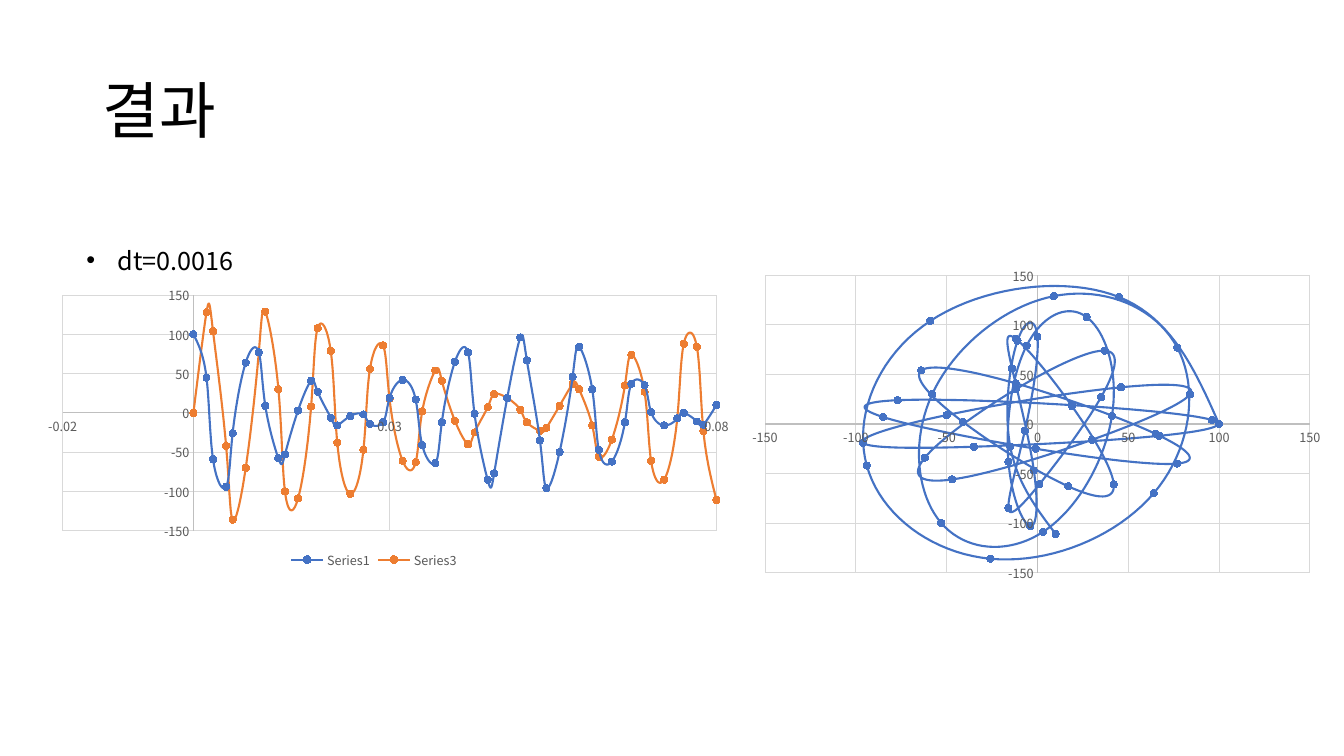
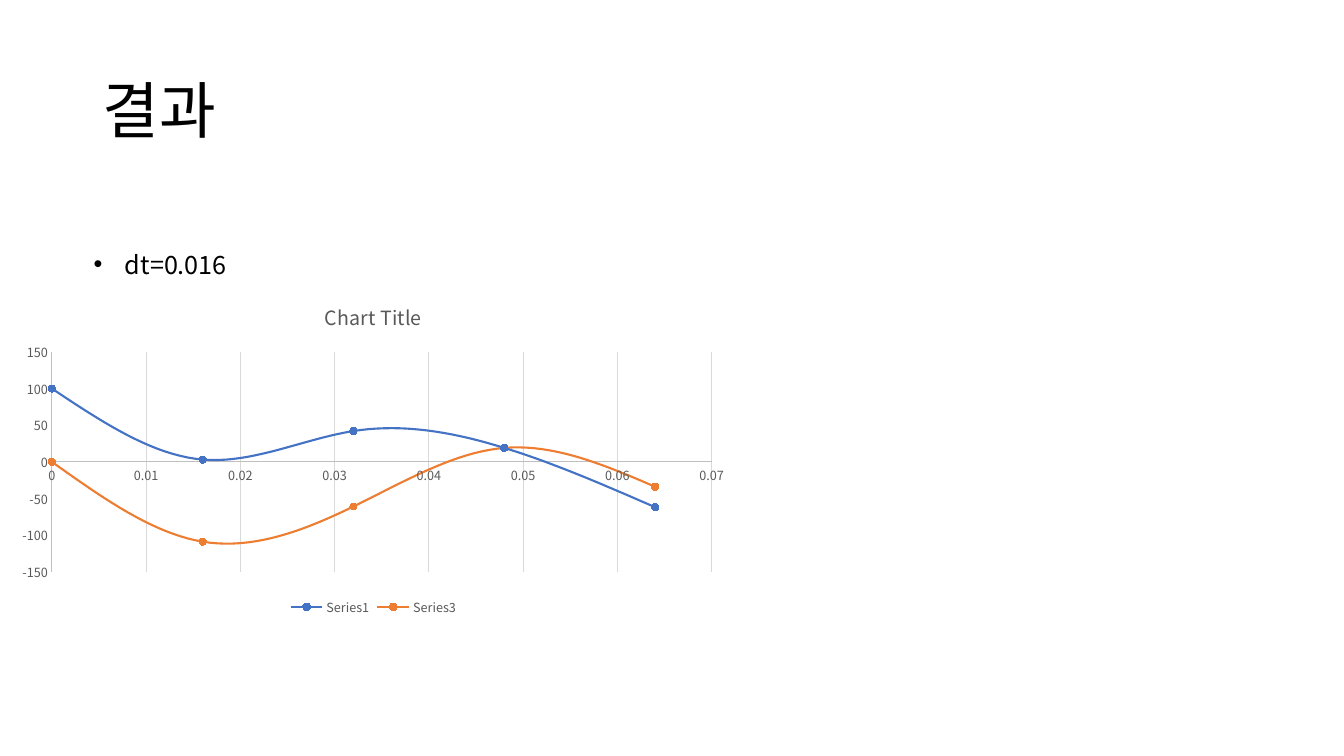
from lxml import etree
from pptx import Presentation
from pptx.chart.data import XyChartData
from pptx.dml.color import RGBColor
from pptx.enum.chart import XL_CHART_TYPE, XL_LEGEND_POSITION, XL_MARKER_STYLE, XL_TICK_MARK
from pptx.enum.text import MSO_ANCHOR, PP_ALIGN
from pptx.oxml.ns import qn
from pptx.util import Cm, Pt

SMOOTH_SCATTER = XL_CHART_TYPE.XY_SCATTER_SMOOTH
LEGEND_BOTTOM = XL_LEGEND_POSITION.BOTTOM
CIRCLE = XL_MARKER_STYLE.CIRCLE
NO_TICK = XL_TICK_MARK.NONE
MIDDLE = MSO_ANCHOR.MIDDLE
LEFT = PP_ALIGN.LEFT

BLACK = RGBColor(0x00, 0x00, 0x00)
GRAY = RGBColor(0x59, 0x59, 0x59)
AXIS_GRAY = RGBColor(0xBF, 0xBF, 0xBF)
GRID_GRAY = RGBColor(0xD9, 0xD9, 0xD9)
BLUE = RGBColor(0x44, 0x72, 0xC4)
ORANGE = RGBColor(0xED, 0x7D, 0x31)
SERIES_COLORS = (BLUE, ORANGE)

FONT = "Noto Sans CJK KR"
TITLE_FORMAT = {"name": FONT, "size": Pt(44), "bold": False}
BODY_FORMAT = {"name": FONT, "size": Pt(18)}
LABEL_FORMAT = {"name": FONT, "size": Pt(9), "bold": False}
CHART_TITLE_FORMAT = {"name": FONT, "size": Pt(14), "bold": False}

X_VALUES = [
    100, 45, -59, -94, -26, 64, 77, 9, -58, -53, 3, 41, 27, -6, -16, -4, -2,
    -14, -12, 19, 42, 17, -41, -64, -12, 65, 77, -1, -85, -77, 19, 96, 67,
    -35, -96, -50, 46, 84, 30, -47, -62, -12, 37, 35, 1, -16, -7, 0, -11,
    -15, 10,
]
Y_VALUES = [
    0, 128, 104, -42, -136, -70, 77, 129, 30, -100, -109, 8, 108, 79, -38,
    -103, -47, 56, 86, 18, -61, -63, 2, 54, 41, -10, -40, -25, 7, 24, 19, 4,
    -12, -23, -19, 9, 37, 30, -16, -56, -34, 35, 74, 27, -61, -85, -7, 88,
    84, -23, -111,
]
TIMES = [round(step * 0.0016, 3) for step in range(len(X_VALUES))]
COARSE = slice(0, 50, 10)


def format_font(font, values, color):
    for name, value in values.items():
        setattr(font, name, value)
    font.color.rgb = color


def add_title(slide, text):
    title = slide.shapes.title
    title.left, title.top, title.width, title.height = Cm(2.33), Cm(1.02), Cm(29.21), Cm(3.68)
    title.text_frame.text = text
    title.text_frame.vertical_anchor = MIDDLE
    paragraph = title.text_frame.paragraphs[0]
    paragraph.alignment = LEFT
    paragraph.line_spacing = 0.9
    run = paragraph.runs[0]
    format_font(run.font, TITLE_FORMAT, BLACK)
    etree.SubElement(run._r.get_or_add_rPr(), qn("a:ea"), typeface=FONT)


def add_bullet(slide, text, left, top, width):
    box = slide.shapes.add_textbox(Cm(left), Cm(top), Cm(width), Cm(1.02))
    box.text_frame.word_wrap = True
    paragraph = box.text_frame.paragraphs[0]
    run = paragraph.add_run()
    run.text = text
    format_font(run.font, BODY_FORMAT, BLACK)
    properties = paragraph._p.get_or_add_pPr()
    properties.set("marL", str(Cm(0.79)))
    properties.set("indent", str(-Cm(0.79)))
    etree.SubElement(properties, qn("a:buFont"), typeface="Arial")
    etree.SubElement(properties, qn("a:buChar"), char="•")


def style_line(line, color, width):
    line.color.rgb = color
    line.width = Pt(width)


def style_axis(axis, minimum, maximum, step, grid=True):
    scale = {"minimum_scale": minimum, "maximum_scale": maximum, "major_unit": step,
             "major_tick_mark": NO_TICK, "minor_tick_mark": NO_TICK,
             "has_major_gridlines": grid}
    for name, value in scale.items():
        setattr(axis, name, value)
    style_line(axis.format.line, AXIS_GRAY, 0.75)
    if grid:
        style_line(axis.major_gridlines.format.line, GRID_GRAY, 0.75)
    axis.tick_labels.number_format = "General"
    axis.tick_labels.number_format_is_linked = False
    format_font(axis.tick_labels.font, LABEL_FORMAT, GRAY)


def style_series(series, color):
    style_line(series.format.line, color, 1.5)
    series.marker.style = CIRCLE
    series.marker.size = 5
    series.marker.format.fill.solid()
    series.marker.format.fill.fore_color.rgb = color
    style_line(series.marker.format.line, color, 0.75)
    series._element.get_or_add_smooth().val = True


def place_plot(chart, position):
    area = chart._chartSpace.find(".//" + qn("c:plotArea"))
    for layout in area.findall(qn("c:layout")):
        area.remove(layout)
    layout = etree.Element(qn("c:layout"))
    area.insert(0, layout)
    manual = etree.SubElement(layout, qn("c:manualLayout"))
    settings = {"layoutTarget": "inner", "xMode": "edge", "yMode": "edge"}
    settings.update(zip("xywh", position))
    for name, value in settings.items():
        etree.SubElement(manual, qn("c:" + name), val=str(value))


def add_scatter(slide, frame, plot_position, curves, x_scale, value_grid=True,
                legend=True, title=None):
    data = XyChartData()
    for name, x_values, y_values in curves:
        series = data.add_series(name)
        for x, y in zip(x_values, y_values):
            series.add_data_point(x, y)
    lengths = [Cm(length) for length in frame]
    chart = slide.shapes.add_chart(SMOOTH_SCATTER, *lengths, data).chart
    format_font(chart.font, {"name": FONT, "size": Pt(10)}, BLACK)
    chart.has_title = title is not None
    if title:
        chart.chart_title.text_frame.text = title
        run = chart.chart_title.text_frame.paragraphs[0].runs[0]
        format_font(run.font, CHART_TITLE_FORMAT, GRAY)
    chart.has_legend = legend
    if legend:
        chart.legend.position = LEGEND_BOTTOM
        chart.legend.include_in_layout = False
        format_font(chart.legend.font, LABEL_FORMAT, GRAY)
    chart.plots[0].vary_by_categories = False
    for series, color in zip(chart.plots[0].series, SERIES_COLORS):
        style_series(series, color)
    style_axis(chart.category_axis, *x_scale)
    style_axis(chart.value_axis, -150, 150, 50, value_grid)
    place_plot(chart, plot_position)


def add_result_slide(presentation):
    slide = presentation.slides.add_slide(presentation.slide_layouts[5])
    add_title(slide, "결과")
    return slide


def main():
    presentation = Presentation()
    presentation.slide_width = Cm(33.87)
    presentation.slide_height = Cm(19.05)

    fine = add_result_slide(presentation)
    add_scatter(fine, (0.28, 6.96, 18.29, 7.47), (0.071, 0.064, 0.901, 0.795),
                [("Series1", TIMES, X_VALUES), ("Series3", TIMES, Y_VALUES)],
                (-0.02, 0.08, 0.05))
    add_scatter(fine, (18.67, 6.55, 14.91, 8.28), (0.041, 0.047, 0.921, 0.905),
                [("Series 1", X_VALUES, Y_VALUES)], (-150, 150, 50), legend=False)
    add_bullet(fine, "dt=0.0016", 1.93, 6.05, 12.52)

    coarse = add_result_slide(presentation)
    add_scatter(coarse, (0.2, 7.16, 18.42, 8.46), (0.06, 0.202, 0.903, 0.655),
                [("Series1", TIMES[COARSE], X_VALUES[COARSE]),
                 ("Series3", TIMES[COARSE], Y_VALUES[COARSE])],
                (0, 0.07, 0.01), value_grid=False, title="Chart Title")
    add_bullet(coarse, "dt=0.016", 2.11, 6.15, 11.91)

    presentation.save("out.pptx")


if __name__ == "__main__":
    main()
